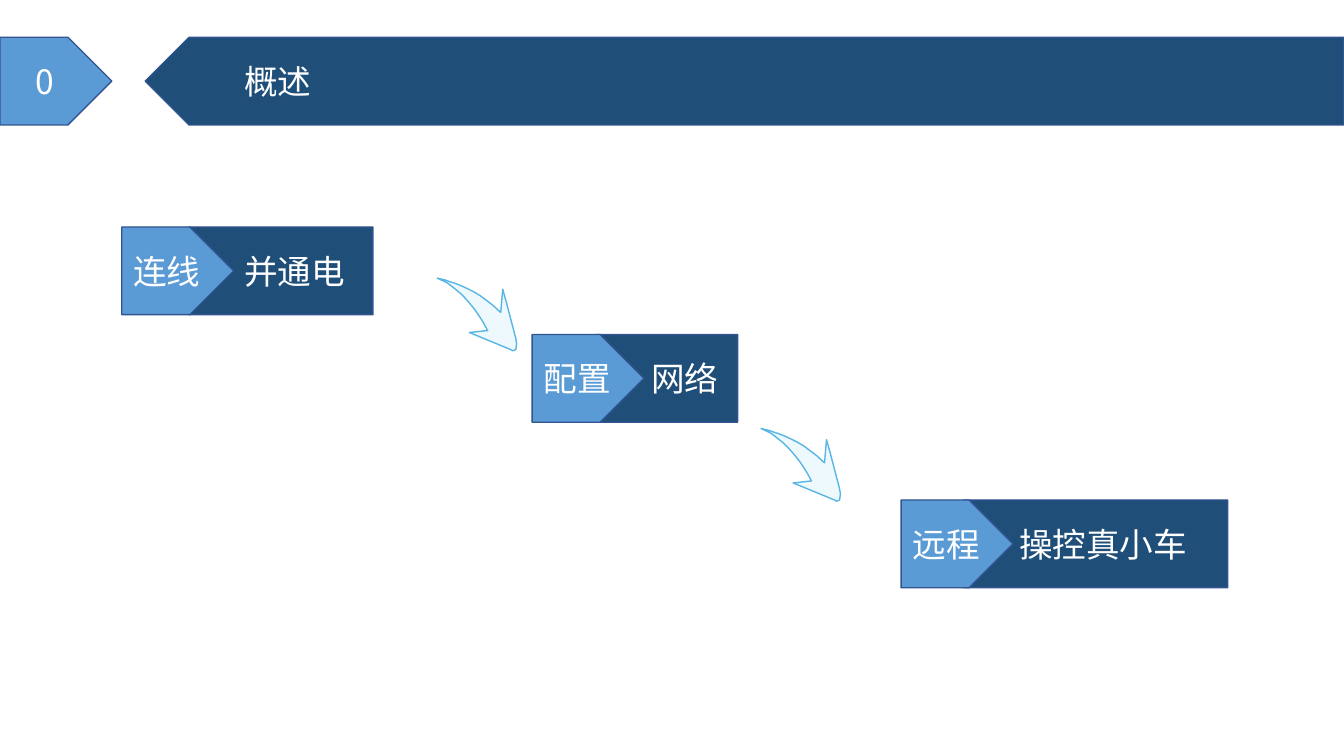
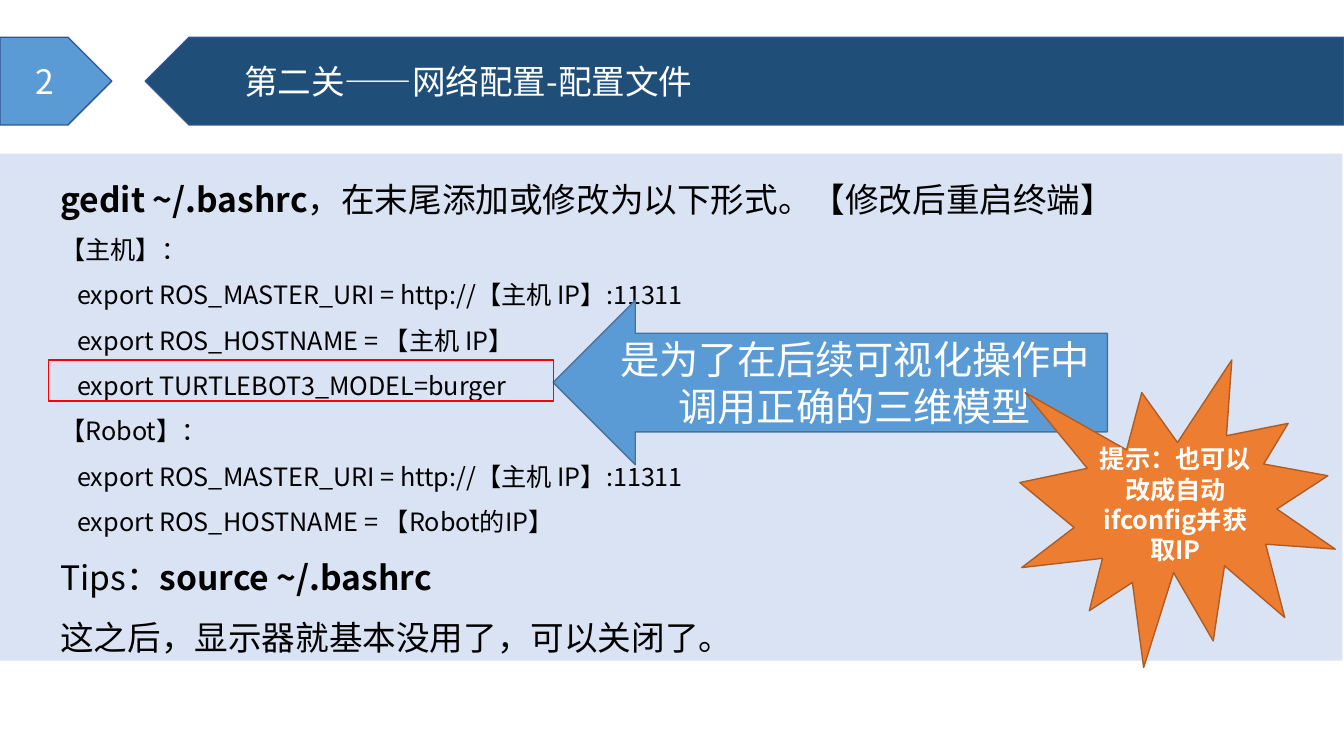
from lxml import etree
from pptx import Presentation
from pptx.dml.color import RGBColor
from pptx.enum.shapes import MSO_SHAPE
from pptx.enum.text import MSO_ANCHOR, MSO_AUTO_SIZE, PP_ALIGN
from pptx.oxml.ns import qn
from pptx.util import Cm, Pt

# Shared style
FONT = "Noto Sans CJK SC"
WHITE = RGBColor(0xFF, 0xFF, 0xFF)
BLACK = RGBColor(0x00, 0x00, 0x00)
RED = RGBColor(0xFF, 0x00, 0x00)
NAVY = RGBColor(0x1F, 0x4E, 0x79)
BLUE = RGBColor(0x5B, 0x9B, 0xD5)
BAND_LINE = RGBColor(0x32, 0x54, 0x91)
CALLOUT_LINE = RGBColor(0x43, 0x73, 0x9E)
PANEL = RGBColor(0xDA, 0xE3, 0xF3)
ORANGE = RGBColor(0xED, 0x7D, 0x31)
ORANGE_LINE = RGBColor(0xAF, 0x5C, 0x24)
PALE_CYAN = RGBColor(0xD4, 0xF1, 0xF9)
CYAN = RGBColor(0x58, 0xB6, 0xE5)
TAG_WIDTH = 2.82
BAND_HEIGHT = 2.21
BAND_INDENT = 1.69


def write_text(paragraph, text, size=24, color=WHITE, bold=False,
               align=PP_ALIGN.CENTER, margin=0, indent=0):
    """Append one formatted run; margin and indent are in centimetres."""
    paragraph.alignment = align
    properties = paragraph._p.get_or_add_pPr()
    properties.set("marL", str(Cm(margin)))
    properties.set("indent", str(Cm(indent)))
    run = paragraph.add_run()
    run.text = text
    run.font.name = FONT
    run.font.size = Pt(size)
    run.font.bold = bold
    run.font.color.rgb = color
    east_asian = etree.SubElement(run._r.get_or_add_rPr(), qn("a:ea"))
    east_asian.set("typeface", FONT)


def add_block(slide, preset, left, top, width, height,
              fill=None, line=None, flip=False):
    """Add a preset shape, measured in centimetres."""
    shape = slide.shapes.add_shape(preset, Cm(left), Cm(top), Cm(width), Cm(height))
    shape.shadow.inherit = False
    if fill is None:
        shape.fill.background()
    else:
        shape.fill.solid()
        shape.fill.fore_color.rgb = fill
    if line is None:
        shape.line.fill.background()
    else:
        shape.line.color.rgb = line
        shape.line.width = Pt(1)
    if flip:
        shape._element.spPr.get_or_add_xfrm().set("flipH", "1")
    shape.text_frame.word_wrap = True
    shape.text_frame.vertical_anchor = MSO_ANCHOR.MIDDLE
    return shape


presentation = Presentation()
presentation.slide_width = Cm(33.87)
presentation.slide_height = Cm(19.05)
overview, config = [
    presentation.slides.add_slide(presentation.slide_layouts[6]) for _ in range(2)
]

# Bands: a navy plate pointing left and a blue tag pointing right
# slide, plate left, plate width, tag left, top, tag text, plate text
bands = [
    (overview, 3.66, 30.21, 0, 0.94, "0", "概述"),
    (config, 3.66, 30.21, 0, 0.94, "2", "第二关——网络配置-配置文件"),
    (overview, 3.66, 5.74, 3.07, 5.72, "连线", "并通电"),
    (overview, 13.92, 4.67, 13.41, 8.43, "配置", "网络"),
    (overview, 23.19, 7.75, 22.71, 12.6, "远程", "操控真小车"),
]
for slide, plate_left, plate_width, tag_left, top, tag_text, plate_text in bands:
    plate = add_block(slide, MSO_SHAPE.PENTAGON, plate_left, top, plate_width,
                      BAND_HEIGHT, NAVY, BAND_LINE, flip=True)
    write_text(plate.text_frame.paragraphs[0], plate_text,
               align=PP_ALIGN.LEFT, margin=BAND_INDENT)
    tag = add_block(slide, MSO_SHAPE.PENTAGON, tag_left, top, TAG_WIDTH,
                    BAND_HEIGHT, BLUE, BAND_LINE)
    write_text(tag.text_frame.paragraphs[0], tag_text)

# Curved arrow outline in hundredths of a centimetre
arrow_head = [(190, 183), (198, 180), (200, 165), (198, 152), (175, 64),
              (165, 28), (160, 86), (157, 84)]
arrow_curves = [
    ((157, 84), (94, 20), (13, 3), (0, 0)),
    ((0, 0), (51, 20), (91, 69), (119, 117)),
]
arrow_barb = [(127, 132), (81, 137), (185, 180)]
curve_steps = 12
outline = list(arrow_head)
for curve in arrow_curves:
    for step in range(1, curve_steps + 1):
        t = step / curve_steps
        weights = ((1 - t) ** 3, 3 * t * (1 - t) ** 2, 3 * t ** 2 * (1 - t), t ** 3)
        outline.append(tuple(
            sum(weight * point[axis] for weight, point in zip(weights, curve))
            for axis in (0, 1)
        ))
outline += arrow_barb

# Arrows between the steps
for left, top in [(11.02, 7.01), (19.18, 10.8)]:
    builder = overview.shapes.build_freeform(*outline[0], scale=Cm(1) / 100)
    builder.add_line_segments(outline[1:], close=True)
    arrow = builder.convert_to_shape(Cm(left), Cm(top))
    arrow.shadow.inherit = False
    arrow.fill.solid()
    arrow.fill.fore_color.rgb = PALE_CYAN
    color_element = arrow._element.spPr.find(qn("a:solidFill"))[0]
    etree.SubElement(color_element, qn("a:alpha")).set("val", "41000")
    arrow.line.color.rgb = CYAN
    arrow.line.width = Pt(1)

# Configuration panel: size, then runs of text and bold
panel_lines = [
    (24, [("gedit ~/.bashrc", True),
          ("，在末尾添加或修改为以下形式。【修改后重启终端】", False)]),
    (18, [("【主机】：", False)]),
    (18, [("   export ROS_MASTER_URI = http://【主机 IP】:11311", False)]),
    (18, [("   export ROS_HOSTNAME = 【主机 IP】", False)]),
    (18, [("   export TURTLEBOT3_MODEL=burger", False)]),
    (18, [("【Robot】：", False)]),
    (18, [("   export ROS_MASTER_URI = http://【主机 IP】:11311", False)]),
    (18, [("   export ROS_HOSTNAME = 【Robot的IP】", False)]),
    (24, [("Tips：", False), ("source ~/.bashrc", True)]),
    (24, [("这之后，显示器就基本没用了，可以关闭了。", False)]),
]
panel = add_block(config, MSO_SHAPE.RECTANGLE, 0, 3.87, 33.83, 12.78, PANEL)
panel.text_frame.vertical_anchor = MSO_ANCHOR.TOP
panel.text_frame.auto_size = MSO_AUTO_SIZE.SHAPE_TO_FIT_TEXT
for index, (size, runs) in enumerate(panel_lines):
    frame = panel.text_frame
    paragraph = frame.add_paragraph() if index else frame.paragraphs[0]
    paragraph.line_spacing = 1.5
    for text, bold in runs:
        write_text(paragraph, text, size=size, color=BLACK, bold=bold,
                   align=PP_ALIGN.LEFT, indent=1.27)

# Callout arrow and the framed line it points to
callout = add_block(config, MSO_SHAPE.RIGHT_ARROW, 13.94, 7.57, 13.97, 4.14,
                    BLUE, CALLOUT_LINE, flip=True)
callout.adjustments[0] = 0.6
callout.adjustments[1] = 0.5
write_text(callout.text_frame.paragraphs[0],
           "是为了在后续可视化操作中调用正确的三维模型", size=28)
add_block(config, MSO_SHAPE.RECTANGLE, 1.22, 9.07, 12.73, 1.04, line=RED)

# Hint burst
burst = add_block(config, MSO_SHAPE.EXPLOSION1, 25.7, 9.07, 7.95, 7.75,
                  ORANGE, ORANGE_LINE)
write_text(burst.text_frame.paragraphs[0],
           "提示：也可以改成自动ifconfig并获取IP", size=18, bold=True)

presentation.save("out.pptx")
